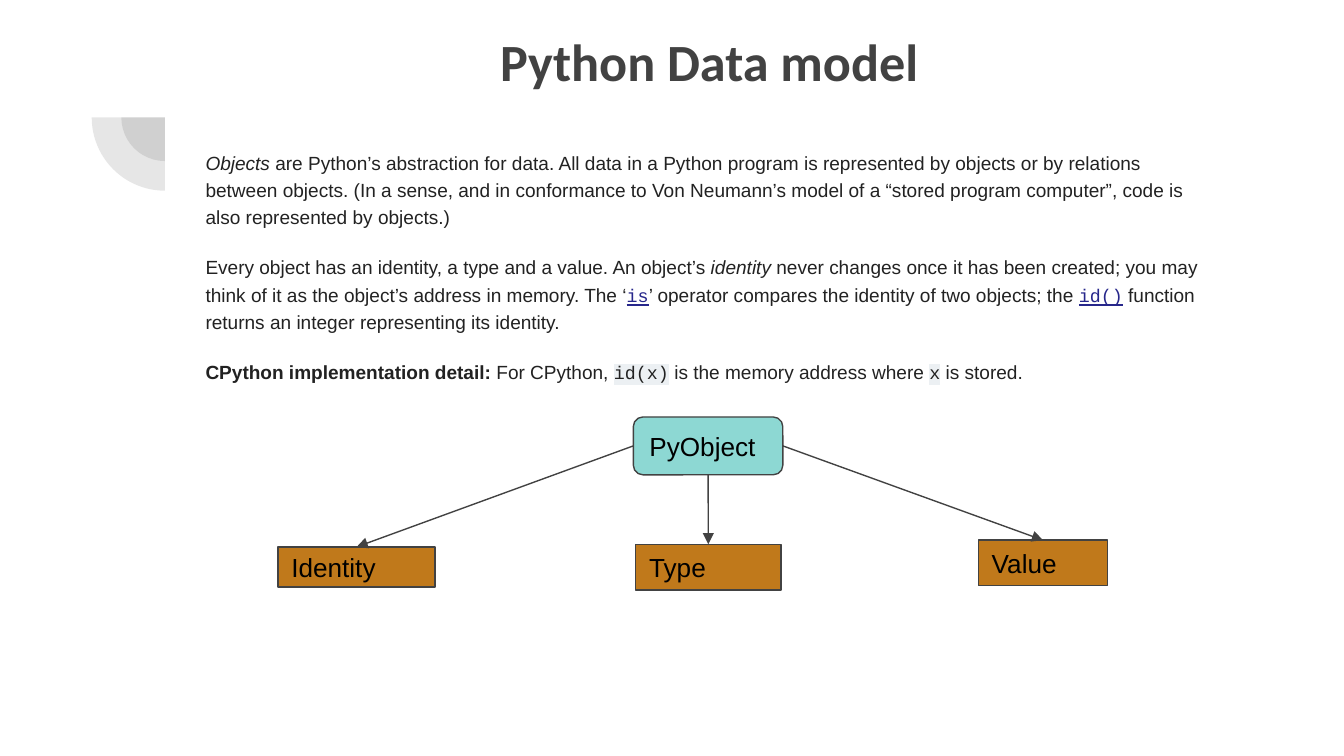
from dataclasses import dataclass

from lxml import etree
from pptx import Presentation
from pptx.dml.color import RGBColor
from pptx.enum.shapes import MSO_CONNECTOR, MSO_SHAPE
from pptx.enum.text import MSO_ANCHOR, PP_ALIGN
from pptx.oxml.ns import qn
from pptx.util import Pt

PIE, RECT, ROUNDED = MSO_SHAPE.PIE, MSO_SHAPE.RECTANGLE, MSO_SHAPE.ROUNDED_RECTANGLE
STRAIGHT = MSO_CONNECTOR.STRAIGHT
TOP, MIDDLE = MSO_ANCHOR.TOP, MSO_ANCHOR.MIDDLE
LEFT, CENTER = PP_ALIGN.LEFT, PP_ALIGN.CENTER
TOP_SITE, LEFT_SITE, BOTTOM_SITE, RIGHT_SITE = range(4)


@dataclass(frozen=True)
class Theme:
    dark: str = "424242"
    ink: str = "222222"
    link: str = "27278B"
    code_back: str = "ECF0F3"
    object_fill: str = "8DD8D3"
    aspect_fill: str = "C0791B"
    black: str = "000000"
    title_size: float = 28
    body_size: float = 10.2
    code_size: float = 9.8
    label_size: float = 14
    line_width: float = 0.75
    inset: float = 7.2


THEME = Theme()

PLAIN = {"name": "Arial", "size": Pt(THEME.body_size)}
ITALIC = {**PLAIN, "italic": True}
BOLD = {**PLAIN, "bold": True}
CODE = {"name": "Courier New", "size": Pt(THEME.code_size)}
LINK = {**CODE, "underline": True}
LABEL = {"name": "Arial", "size": Pt(THEME.label_size)}
TITLE = {"name": "Calibri", "size": Pt(THEME.title_size), "bold": True}

EXPLANATION = [
    [
        ("Objects", ITALIC, THEME.ink),
        (" are Python’s abstraction for data. All data in a Python program is "
         "represented by objects or by relations between objects. (In a sense, and in "
         "conformance to Von Neumann’s model of a “stored program computer”, code is "
         "also represented by objects.)", PLAIN, THEME.ink),
    ],
    [
        ("Every object has an identity, a type and a value. An object’s ", PLAIN, THEME.ink),
        ("identity", ITALIC, THEME.ink),
        (" never changes once it has been created; you may think of it as the object’s "
         "address in memory. The ‘", PLAIN, THEME.ink),
        ("is", LINK, THEME.link),
        ("’ operator compares the identity of two objects; the ", PLAIN, THEME.ink),
        ("id()", LINK, THEME.link),
        (" function returns an integer representing its identity.", PLAIN, THEME.ink),
    ],
    [
        ("CPython implementation detail:", BOLD, THEME.ink),
        (" For CPython, ", PLAIN, THEME.ink),
        ("id(x)", CODE, THEME.ink, THEME.code_back),
        (" is the memory address where ", PLAIN, THEME.ink),
        ("x", CODE, THEME.ink, THEME.code_back),
        (" is stored.", PLAIN, THEME.ink),
    ],
]

ASPECTS = [
    ("Identity", (149, 293, 84.2, 21.6), LEFT_SITE),
    ("Type", (340.6, 291.6, 77.8, 24.5), BOTTOM_SITE),
    ("Value", (524.2, 289.4, 69.1, 24.5), RIGHT_SITE),
]


def apply(target, values):
    for key, value in values.items():
        setattr(target, key, value)


def rgb(color):
    return RGBColor.from_string(color)


def place(element, left, top, width, height):
    apply(element, {"left": Pt(left), "top": Pt(top),
                    "width": Pt(width), "height": Pt(height)})


def set_frame(frame, anchor):
    sides = ("margin_left", "margin_top", "margin_right", "margin_bottom")
    apply(frame, {"word_wrap": True, "vertical_anchor": anchor,
                  **dict.fromkeys(sides, Pt(THEME.inset))})


def add_run(paragraph, words, style, color, highlight=None):
    run = paragraph.add_run()
    run.text = words
    apply(run.font, style)
    run.font.color.rgb = rgb(color)
    if highlight:
        mark = etree.Element(qn("a:highlight"))
        etree.SubElement(mark, qn("a:srgbClr"), val=highlight)
        run.font.fill._xPr.find(qn("a:latin")).addprevious(mark)


def add_title(slide, words):
    title = slide.shapes.title
    place(title, 103, 8.6, 553.7, 48.2)
    set_frame(title.text_frame, TOP)
    heading = title.text_frame.paragraphs[0]
    heading.alignment = CENTER
    add_run(heading, words, TITLE, THEME.dark)


def add_explanation(slide, paragraphs):
    body = slide.shapes.add_textbox(Pt(103), Pt(71.3), Pt(553.7), Pt(172.1))
    frame = body.text_frame
    set_frame(frame, TOP)
    for index, runs in enumerate(paragraphs):
        paragraph = frame.add_paragraph() if index else frame.paragraphs[0]
        apply(paragraph, {"line_spacing": 1.2, "space_before": Pt(12), "alignment": LEFT})
        for run in runs:
            add_run(paragraph, *run)


def add_quarter(slide, diameter, center_x=88.4, center_y=62.9):
    quarter = slide.shapes.add_shape(PIE, Pt(center_x - diameter / 2),
                                     Pt(center_y - diameter / 2),
                                     Pt(diameter), Pt(diameter))
    quarter.adjustments[0], quarter.adjustments[1] = 108, 162
    quarter.rotation = 270
    quarter.shadow.inherit = False
    quarter.fill.solid()
    quarter.fill.fore_color.rgb = rgb(THEME.dark)
    quarter.line.fill.background()
    tint = quarter.fill._xPr.find(qn("a:solidFill"))[0]
    etree.SubElement(tint, qn("a:alpha"), val="13000")


def add_node(slide, label, box, outline, color):
    node = slide.shapes.add_shape(outline, *map(Pt, box))
    node.shadow.inherit = False
    node.fill.solid()
    node.fill.fore_color.rgb = rgb(color)
    node.line.color.rgb = rgb(THEME.dark)
    node.line.width = Pt(THEME.line_width)
    set_frame(node.text_frame, MIDDLE)
    caption = node.text_frame.paragraphs[0]
    caption.alignment = LEFT
    add_run(caption, label, LABEL, THEME.black)
    return node


def add_arrow(slide, parent, site, child):
    arrow = slide.shapes.add_connector(STRAIGHT, Pt(0), Pt(0), Pt(0), Pt(0))
    arrow.begin_connect(parent, site)
    arrow.end_connect(child, TOP_SITE)
    arrow.line.color.rgb = rgb(THEME.dark)
    arrow.line.width = Pt(THEME.line_width)
    properties = arrow.line._get_or_add_ln()
    etree.SubElement(properties, qn("a:tailEnd"), type="triangle")
    etree.SubElement(properties.getparent(), qn("a:effectLst"))


def main():
    presentation = Presentation()
    apply(presentation, {"slide_width": Pt(720), "slide_height": Pt(405)})
    slide = presentation.slides.add_slide(presentation.slide_layouts[5])
    for diameter in (46.8, 78.5):
        add_quarter(slide, diameter)
    add_title(slide, "Python Data model")
    add_explanation(slide, EXPLANATION)
    py_object = add_node(slide, "PyObject", (339.3, 223.4, 80.1, 31), ROUNDED,
                         THEME.object_fill)
    for label, box, site in ASPECTS:
        aspect = add_node(slide, label, box, RECT, THEME.aspect_fill)
        add_arrow(slide, py_object, site, aspect)
    presentation.save("out.pptx")


if __name__ == "__main__":
    main()
